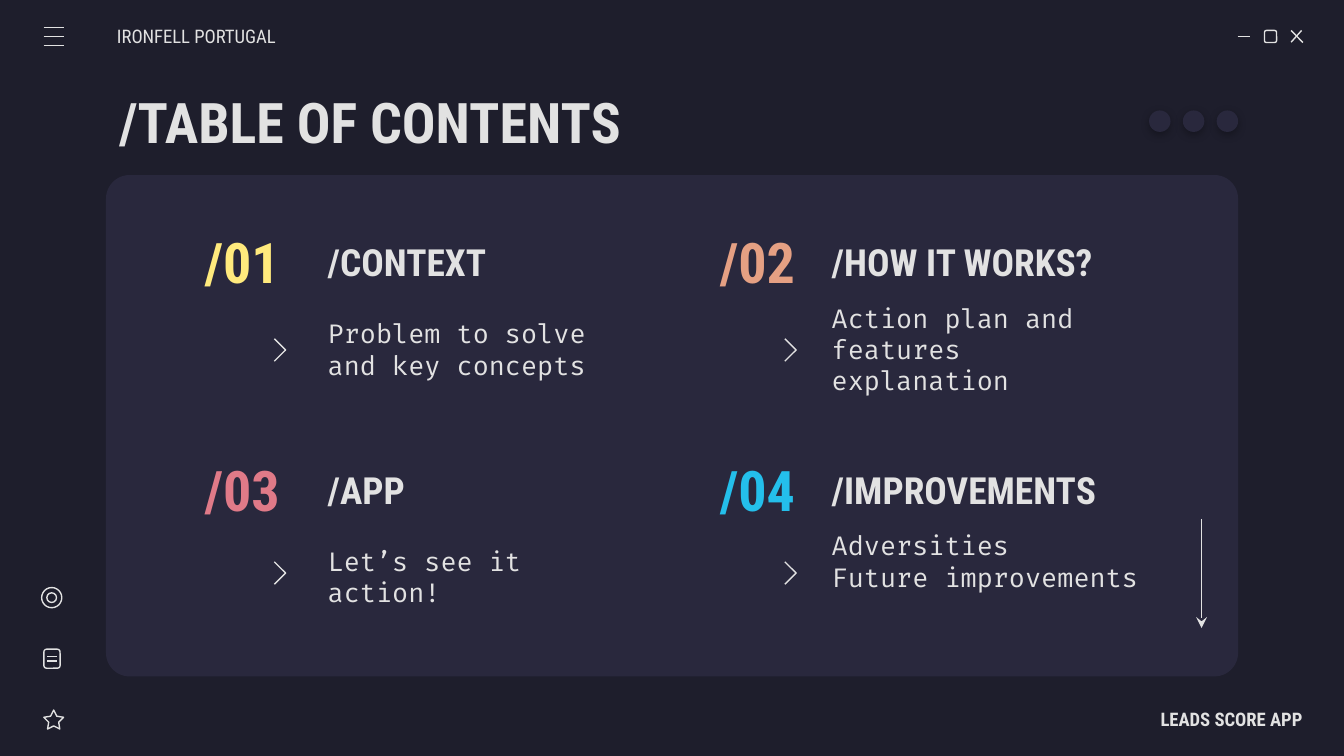
from dataclasses import dataclass

from lxml import etree
from pptx import Presentation
from pptx.dml.color import RGBColor
from pptx.enum.shapes import MSO_CONNECTOR, MSO_SHAPE
from pptx.enum.text import MSO_ANCHOR, PP_ALIGN
from pptx.oxml.ns import qn
from pptx.util import Pt

STRAIGHT = MSO_CONNECTOR.STRAIGHT
OVAL = MSO_SHAPE.OVAL
ROUNDED = MSO_SHAPE.ROUNDED_RECTANGLE
STAR = MSO_SHAPE.STAR_5_POINT
MIDDLE = MSO_ANCHOR.MIDDLE
LEFT, CENTER, RIGHT = PP_ALIGN.LEFT, PP_ALIGN.CENTER, PP_ALIGN.RIGHT


@dataclass(frozen=True)
class Theme:
    background: str = "1E1E2C"
    panel: str = "29283D"
    ink: str = "E2E2E2"
    accents: tuple = ("FFEA7D", "E5A083", "E07A88", "24BFEB")
    display: str = "Roboto Condensed"
    mono: str = "Fira Code"
    title: int = 30
    heading: int = 20
    body: int = 14
    label: int = 10
    stroke: float = 0.75
    inset: float = 7.2


THEME = Theme()

# heading, description lines, (top, bottom) insets of the description
SECTIONS = [
    ("/CONTEXT", ["Problem to solve and key concepts"], (7.2, 7.2)),
    ("/HOW IT WORKS?", ["Action plan and features explanation"], (7.2, 7.2)),
    ("/APP", ["Let’s see it action!"], (7.2, 7.2)),
    ("/IMPROVEMENTS", ["Adversities", "Future improvements"], (0, 17)),
]
# left edges of number, chevron and text in each column
COLUMNS = [(97, 147, 168.5), (373, 420.5, 438.5)]
# tops of heading, description and chevron in each row
ROWS = [(120, 160, 181.5), (242, 282, 301)]


def rgb(value):
    return RGBColor.from_string(value)


def add_text(slide, box, lines, size, color=THEME.ink, font=THEME.display,
             bold=True, align=LEFT, sides=(THEME.inset, THEME.inset),
             ends=(THEME.inset, THEME.inset)):
    """Place lines in box; sides and ends are the left/right and top/bottom insets."""
    frame = slide.shapes.add_textbox(*map(Pt, box)).text_frame
    frame.word_wrap = True
    frame.vertical_anchor = MIDDLE
    frame.margin_left, frame.margin_right = map(Pt, sides)
    frame.margin_top, frame.margin_bottom = map(Pt, ends)
    frame.text = "\n".join(lines)
    for paragraph in frame.paragraphs:
        paragraph.alignment = align
        paragraph.font.name = font
        paragraph.font.size = Pt(size)
        paragraph.font.bold = bold
        paragraph.font.color.rgb = rgb(color)


def outline(item):
    item.line.color.rgb = rgb(THEME.ink)
    item.line.width = Pt(THEME.stroke)


def add_line(slide, x1, y1, x2, y2):
    line = slide.shapes.add_connector(STRAIGHT, *map(Pt, (x1, y1, x2, y2)))
    outline(line)
    etree.SubElement(line._element.spPr, qn("a:effectLst"))
    return line


def add_scroll_arrow(slide):
    arrow = add_line(slide, 643.7, 278, 643.7, 336.5)
    etree.SubElement(arrow.line._get_or_add_ln(), qn("a:tailEnd"), type="stealth")


def add_outlined(slide, kind, *box, adjustment=None):
    icon = slide.shapes.add_shape(kind, *map(Pt, box))
    icon.shadow.inherit = False
    icon.fill.background()
    outline(icon)
    if adjustment is not None:
        icon.adjustments[0] = adjustment


def add_filled(slide, kind, *box):
    shape = slide.shapes.add_shape(kind, *map(Pt, box))
    shape.shadow.inherit = False
    shape.fill.solid()
    shape.fill.fore_color.rgb = rgb(THEME.panel)
    shape.line.fill.background()
    return shape


def add_shadowed_dot(slide, left):
    dot = add_filled(slide, OVAL, left, 59.2, 11.5, 11.5)
    effects = dot._element.spPr.find(qn("a:effectLst"))
    shadow = etree.SubElement(effects, qn("a:outerShdw"), blurRad=str(Pt(4.5)),
                              dist=str(Pt(1.5)), dir="5400000", algn="bl",
                              rotWithShape="0")
    black = etree.SubElement(shadow, qn("a:srgbClr"), val="000000")
    etree.SubElement(black, qn("a:alpha"), val="30000")


def add_chevron(slide, left, top):
    builder = slide.shapes.build_freeform(Pt(left), Pt(top))
    builder.add_line_segments([(Pt(left + 6), Pt(top + 6)), (Pt(left), Pt(top + 12))],
                              close=False)
    chevron = builder.convert_to_shape()
    chevron.shadow.inherit = False
    chevron.fill.background()
    outline(chevron)


def add_window_controls(slide):
    add_line(slide, 663, 19.5, 669.8, 19.5)
    add_outlined(slide, ROUNDED, 677.4, 16.3, 6.5, 6.5)
    add_line(slide, 691.7, 16.3, 698, 22.8)
    add_line(slide, 697.3, 16.3, 691.7, 22.6)


def add_menu_icon(slide):
    for y in (14.8, 19.6, 24.4):
        add_line(slide, 23.4, y, 34.2, y)


def add_sidebar_icons(slide):
    add_outlined(slide, STAR, 23.5, 380.4, 10.6, 10.2, adjustment=0.254)
    add_outlined(slide, ROUNDED, 23.5, 347.8, 8.7, 10.2)
    for y in (351.7, 354.2):
        add_line(slide, 25.2, y, 30.4, y)
    add_outlined(slide, OVAL, 22.3, 314.8, 10.8, 10.8)
    add_outlined(slide, OVAL, 25.1, 317.6, 5.2, 5.2)


def add_section(slide, index):
    heading, description, ends = SECTIONS[index]
    row, column = divmod(index, len(COLUMNS))
    number_left, chevron_left, text_left = COLUMNS[column]
    heading_top, description_top, chevron_top = ROWS[row]
    add_text(slide, (text_left, heading_top, 184.5, 40.3), [heading], THEME.heading)
    add_text(slide, (number_left, heading_top, 65.5, 40.3), [f"/{index + 1:02}"],
             THEME.title, color=THEME.accents[index], align=CENTER)
    add_text(slide, (text_left, description_top, 184.5, 54), description, THEME.body,
             font=THEME.mono, bold=False, ends=ends)
    add_chevron(slide, chevron_left, chevron_top)


def main():
    deck = Presentation()
    deck.slide_width, deck.slide_height = Pt(720), Pt(405)
    slide = deck.slides.add_slide(deck.slide_layouts[6])
    slide.background.fill.solid()
    slide.background.fill.fore_color.rgb = rgb(THEME.background)

    panel = add_filled(slide, ROUNDED, 56.8, 93.8, 606.5, 268.6)
    panel.adjustments[0] = 0.047
    add_window_controls(slide)
    for index in range(len(SECTIONS)):
        add_section(slide, index)
    add_text(slide, (56.8, 42.5, 606.5, 45.1), ["/TABLE OF CONTENTS"], THEME.title)
    add_menu_icon(slide)
    add_sidebar_icons(slide)
    add_scroll_arrow(slide)
    for step in range(3):
        add_shadowed_dot(slide, 615.6 + 18.1 * step)
    add_text(slide, (611.7, 374.6, 86, 21.6), ["LEADS SCORE APP"], THEME.label,
             align=RIGHT, sides=(THEME.inset, 0))
    add_text(slide, (62.7, 8.8, 100, 21.6), ["IRONFELL PORTUGAL"], THEME.label,
             bold=False, sides=(0, THEME.inset))
    deck.save("out.pptx")


if __name__ == "__main__":
    main()
